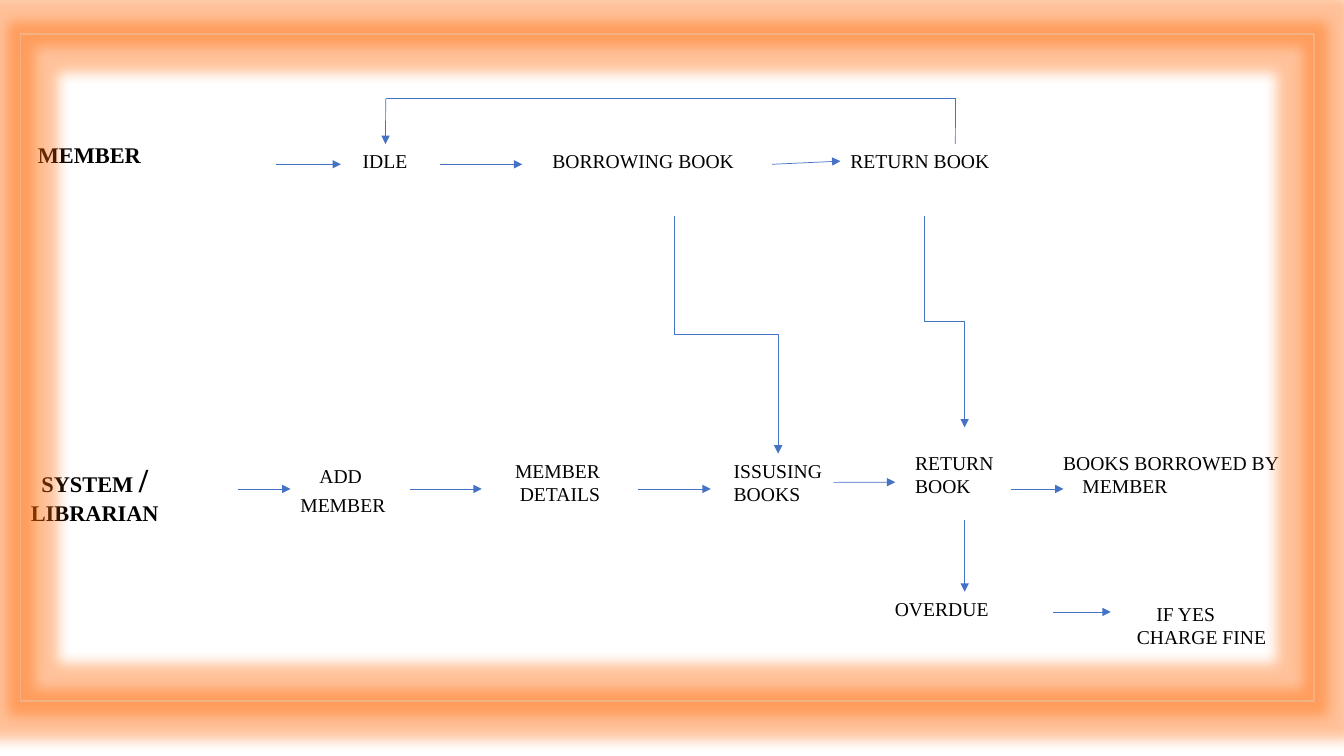
from lxml import etree
from pptx import Presentation
from pptx.dml.color import RGBColor
from pptx.enum import shapes, text
from pptx.oxml import ns
from pptx.util import Cm, Pt

COLORS = {"ink": "000000", "arrow": "4472C4", "frame": "F4B183", "glow": "FF6600"}
FONT = "Times New Roman"

STATES = {
    "idle": ((8.89, 3.63, 1.65, 0.86), [("IDLE", 0)]),
    "borrowing": ((13.67, 3.63, 6.53, 0.86), [("BORROWING BOOK", 0)]),
    "return": ((21.18, 3.63, 5.79, 0.86), [("RETURN BOOK", 0)]),
    "add": ((7.32, 11.42, 3, 1.8), [("ADD", 0.48), ("MEMBER", 0)]),
    "details": ((12.73, 11.43, 2.8, 1.45), [("MEMBER", 0), ("DETAILS", 0.12)]),
    "issuing": ((18.24, 11.43, 2.76, 1.45), [("ISSUSING", 0), ("BOOKS", 0)]),
    "returned": ((22.81, 11.23, 3.73, 1.45), [("RETURN BOOK", 0)]),
    "borrowed": ((26.54, 11.23, 6.12, 1.45), [("BOOKS BORROWED BY", 0), ("MEMBER", 0.49)]),
    "overdue": ((22.3, 14.91, 2.9, 0.86), [("OVERDUE", 0)]),
    "fine": ((28.4, 15.04, 3.78, 1.45), [("IF YES", 0.49), ("CHARGE FINE", 0)]),
}
LOOSE_SPACING = {"add": Pt(20.7)}

ROLES = [
    ((-1.63, 3.43, 7.77, 0.94), [[("MEMBER", 16)]]),
    ((0.51, 11.43, 3.76, 1.96), [[("SYSTEM ", 16), ("/", 24)], [("LIBRARIAN", 16)]]),
]

TOP, LEFT, RIGHT = 0, 1, 3
LINES = [
    ((24.08, 3.63), (24.08, 2.49), False, ("return", TOP), None),
    ((24.08, 2.49), (9.72, 2.49), False, None, None),
    ((9.72, 2.49), (9.72, 3.63), True, None, ("idle", TOP)),
    ((6.96, 4.14), (8.59, 4.14), True, None, None),
    ((11.1, 4.14), (13.16, 4.14), True, None, None),
    ((19.46, 4.14), (21.18, 4.06), True, None, ("return", LEFT)),
    ((5.99, 12.32), (7.32, 12.32), True, None, ("add", LEFT)),
    ((10.32, 12.32), (12.14, 12.32), True, ("add", RIGHT), None),
    ((16.08, 12.32), (17.91, 12.32), True, None, None),
    ((21, 12.15), (22.56, 12.15), True, ("issuing", RIGHT), None),
    ((25.48, 12.32), (26.8, 12.32), True, None, None),
    ((24.31, 13.11), (24.31, 14.91), True, None, None),
    ((26.54, 15.42), (27.99, 15.42), True, None, None),
]
ELBOWS = [((16.99, 5.44), (19.61, 11.43)), ((23.29, 5.44), (24.31, 10.77))]
FRAME = (0.51, 0.86, 32.61, 16.81)
GLOW_RADIUS = Pt(18)


def rgb(name):
    return RGBColor.from_string(COLORS[name])


def add_box(s, place):
    sp = s.shapes.add_textbox(*map(Cm, place))
    sp.text_frame.word_wrap = True
    sp.text_frame.auto_size = text.MSO_AUTO_SIZE.NONE
    return sp


def style(r, size, bold=False):
    r.font.name, r.font.size, r.font.bold = FONT, Pt(size), bold
    r.font.color.rgb = rgb("ink")


def add_state(s, name, place, rows):
    sp = add_box(s, place)
    tf = sp.text_frame
    tf.text = "\n".join(row for row, _ in rows)
    for p, (_, indent) in zip(tf.paragraphs, rows):
        if indent:
            p._p.get_or_add_pPr().set("marL", str(Cm(indent)))
        if name in LOOSE_SPACING:
            p.line_spacing = LOOSE_SPACING[name]
        style(p.runs[0], 14)
    return sp


def add_role(s, place, rows):
    tf = add_box(s, place).text_frame
    for i, row in enumerate(rows):
        p = tf.add_paragraph() if i else tf.paragraphs[0]
        p.alignment = text.PP_ALIGN.CENTER
        for words, size in row:
            r = p.add_run()
            r.text = words
            style(r, size, True)


def add_line(s, kind, start, end, arrow):
    c = s.shapes.add_connector(kind, *map(Cm, start + end))
    c.line.color.rgb = rgb("arrow")
    c.line.width = Pt(0.5)
    if arrow:
        etree.SubElement(c.line._get_or_add_ln(), ns.qn("a:tailEnd"), type="triangle")
    etree.SubElement(c._element.spPr, ns.qn("a:effectLst"))
    return c


def add_elbow(s, start, end):
    (x1, y1), (x2, y2) = start, end
    cx, cy, half_w, half_h = (x1 + x2) / 2, (y1 + y2) / 2, (y2 - y1) / 2, (x2 - x1) / 2
    c = add_line(s, shapes.MSO_CONNECTOR.ELBOW, (cx - half_w, cy - half_h),
                 (cx + half_w, cy + half_h), True)
    xfrm = c._element.spPr.find(ns.qn("a:xfrm"))
    xfrm.set("rot", str(270 * 60000))
    xfrm.set("flipH", "1")


def add_frame(s):
    sp = s.shapes.add_shape(shapes.MSO_SHAPE.RECTANGLE, *map(Cm, FRAME))
    sp.fill.background()
    sp.line.color.rgb = rgb("frame")
    sp.line.width = Pt(1)
    sp.shadow.inherit = False
    effects = sp._element.spPr.find(ns.qn("a:effectLst"))
    glow = etree.SubElement(effects, ns.qn("a:glow"), rad=str(GLOW_RADIUS))
    color = etree.SubElement(glow, ns.qn("a:srgbClr"), val=COLORS["glow"])
    etree.SubElement(color, ns.qn("a:alpha"), val="40000")


def main():
    prs = Presentation()
    prs.slide_width, prs.slide_height = Cm(33.87), Cm(19.05)
    s = prs.slides.add_slide(prs.slide_layouts[6])
    states = {name: add_state(s, name, *state) for name, state in STATES.items()}
    for start, end, arrow, source, target in LINES:
        c = add_line(s, shapes.MSO_CONNECTOR.STRAIGHT, start, end, arrow)
        if source:
            c.begin_connect(states[source[0]], source[1])
        if target:
            c.end_connect(states[target[0]], target[1])
    for start, end in ELBOWS:
        add_elbow(s, start, end)
    for place, rows in ROLES:
        add_role(s, place, rows)
    add_frame(s)
    prs.save("out.pptx")


if __name__ == "__main__":
    main()
